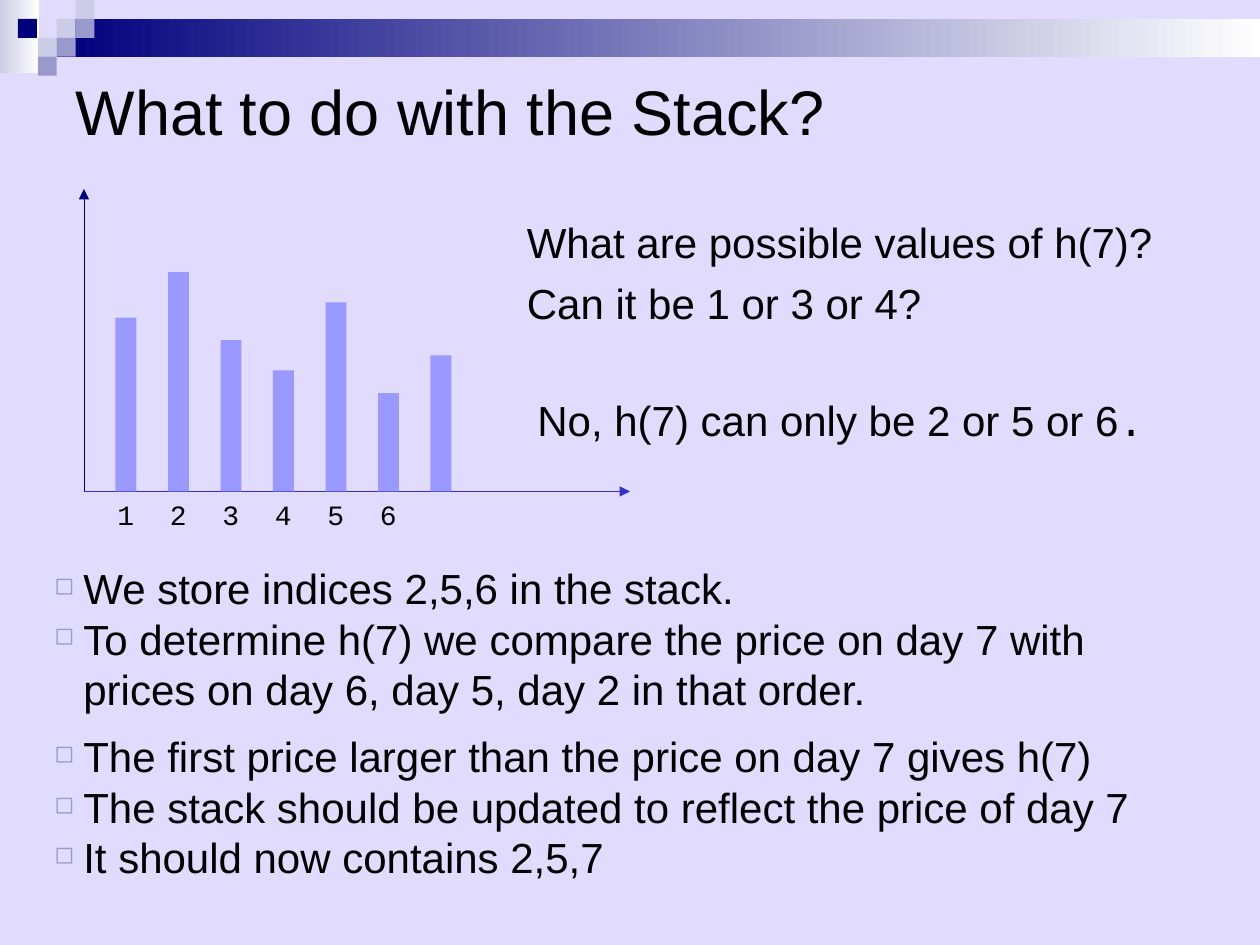
"""Build the slide that shows which indices the stack keeps."""
from lxml.etree import SubElement
from pptx import Presentation
from pptx.dml.color import RGBColor
from pptx.enum.shapes import MSO_CONNECTOR as Connector, MSO_SHAPE as Shape
from pptx.enum.text import MSO_ANCHOR as Anchor, PP_ALIGN as Align
from pptx.oxml.ns import qn
from pptx.util import Inches, Pt

COLUMNS, ROWS = 120, 90
TILE = 1.8
NAVY, PALE, MID, WHITE = "00007D", "CCCCE6", "9999CC", "FFFFFF"
BACKGROUND, BAR, AXIS, BLACK = "E1DCFE", "9999FF", "3333CC", "000000"
PRICES = [23, 29, 20, 16, 25, 13, 18]
PRICE_ROWS = 0.72
ORIGIN_X, ORIGIN_Y = 8, 46.8
DAY_WIDTH = 5


def color(value):
    """Turn a hex string into a colour."""
    return RGBColor.from_string(value)


class SlideBuilder:
    """Hold the style and the current slide, measured in grid cells."""

    font, mono, size, leading = "Arial", "Courier New", 24, 28.8

    def __init__(self, deck):
        """Add a title-only slide with a plain background."""
        self.cell_width = deck.slide_width / COLUMNS
        self.cell_height = deck.slide_height / ROWS
        self.slide = deck.slides.add_slide(deck.slide_layouts[5])
        fill = self.slide.background.fill
        fill.solid()
        fill.fore_color.rgb = color(BACKGROUND)

    def grid(self, x, y, width, height):
        """Convert grid cells to slide lengths."""
        return (round(x * self.cell_width), round(y * self.cell_height),
                round(width * self.cell_width), round(height * self.cell_height))

    def style(self, span, size, font):
        """Format one run."""
        span.font.size, span.font.name = Pt(size), font
        span.font.color.rgb = color(BLACK)

    def title(self, text, *cells):
        """Place and format the title."""
        box = self.slide.shapes.title
        box.left, box.top, box.width, box.height = self.grid(*cells)
        box.text_frame.text = text
        box.text_frame.vertical_anchor = Anchor.MIDDLE
        para = box.text_frame.paragraphs[0]
        para.alignment = Align.LEFT
        self.style(para.runs[0], 36, self.font)

    def rectangle(self, fill_color, *cells, end_color=None):
        """Draw a borderless rectangle, plain or with a gradient."""
        box = self.slide.shapes.add_shape(Shape.RECTANGLE, *self.grid(*cells))
        box.shadow.inherit = False
        box.line.fill.background()
        if end_color:
            box.fill.gradient()
            box.fill.gradient_angle = 0
            for stop, value in zip(box.fill.gradient_stops, (fill_color, end_color)):
                stop.color.rgb = color(value)
        else:
            box.fill.solid()
            box.fill.fore_color.rgb = color(fill_color)

    def arrow(self, line_color, x, y, width, height):
        """Draw a thin line that ends in an arrowhead."""
        left, top, across, down = self.grid(x, y, width, height)
        line = self.slide.shapes.add_connector(
            Connector.STRAIGHT, left, top, left + across, top + down)
        line.line.color.rgb = color(line_color)
        line.line.width = Pt(0.25)
        SubElement(line.line._get_or_add_ln(), qn("a:tailEnd"), type="triangle")
        SubElement(line._element.spPr, qn("a:effectLst"))

    def bullet(self, para):
        """Give a paragraph a small hollow square and a hanging indent."""
        properties = para._p.get_or_add_pPr()
        indent = Inches(0.23)
        properties.set("marL", str(indent))
        properties.set("indent", str(-indent))
        tint = SubElement(properties, qn("a:buClr"))
        SubElement(tint, qn("a:srgbClr"), val=MID)
        SubElement(properties, qn("a:buSzPct"), val="58000")
        SubElement(properties, qn("a:buChar"), char="◻")

    def text(self, lines, *cells, bullets=False, gap=0):
        """Write body lines and return the text frame."""
        frame = self.slide.shapes.add_textbox(*self.grid(*cells)).text_frame
        frame.word_wrap = True
        frame.text = "\n".join(lines)
        for index, para in enumerate(frame.paragraphs):
            if bullets:
                self.bullet(para)
            para.line_spacing = Pt(self.leading)
            para.space_before = Pt(gap if index else 0)
            self.style(para.runs[0], self.size, self.font)
        return frame

    def label(self, text, *cells):
        """Write a small fixed-width label."""
        frame = self.slide.shapes.add_textbox(*self.grid(*cells)).text_frame
        frame.word_wrap = True
        frame.text = text
        self.style(frame.paragraphs[0].runs[0], 16, self.mono)


def draw_header(page):
    """Draw the gradient band and its tiles."""
    page.rectangle(PALE, 0, 0, 3.7, 7, end_color=WHITE)
    page.rectangle(NAVY, 3 * TILE, TILE, COLUMNS - 3 * TILE, 2 * TILE, end_color=WHITE)
    tiles = [(3, 1, PALE), (4, 0, PALE), (4, 1, MID), (2, 2, PALE),
             (0.95, 1, NAVY), (3, 2, MID), (2, 3, MID)]
    for column, row, fill_color in tiles:
        page.rectangle(fill_color, column * TILE, row * TILE, TILE, TILE)


def draw_prices(page):
    """Draw one bar per day, the axes and the known day numbers."""
    page.arrow(AXIS, ORIGIN_X, ORIGIN_Y, 52, 0)
    page.arrow(NAVY, ORIGIN_X, ORIGIN_Y, 0, 18 - ORIGIN_Y)
    for index, price in enumerate(PRICES):
        height = price * PRICE_ROWS
        left = ORIGIN_X + 3 + index * DAY_WIDTH
        page.rectangle(BAR, left, ORIGIN_Y - height, 2, height)
        if index < len(PRICES) - 1:
            page.label(str(index + 1), left - 1, ORIGIN_Y, DAY_WIDTH, 4.4)


def main():
    """Build and save the deck."""
    deck = Presentation()
    deck.slide_width, deck.slide_height = Inches(10), Inches(7.5)
    page = SlideBuilder(deck)
    draw_header(page)
    page.title("What to do with the Stack?", 6, 6, 108, 9)
    draw_prices(page)
    page.text(["What are possible values of h(7)?", "Can it be 1 or 3 or 4?"],
              49, 20, 66, 13, gap=6)
    answer = page.text(["No, h(7) can only be 2 or 5 or 6"], 50, 37, 65, 6)
    period = answer.paragraphs[0].add_run()
    period.text = "."
    page.style(period, page.size, page.mono)
    page.text(["We store indices 2,5,6 in the stack.",
               "To determine h(7) we compare the price on day 7 with "
               "prices on day 6, day 5, day 2 in that order."],
              4, 53, 112, 15.6, bullets=True)
    page.text(["The first price larger than the price on day 7 gives h(7)",
               "The stack should be updated to reflect the price of day 7",
               "It should now contains 2,5,7"],
              4, 69, 109, 15.6, bullets=True)
    deck.save("out.pptx")


if __name__ == "__main__":
    main()
